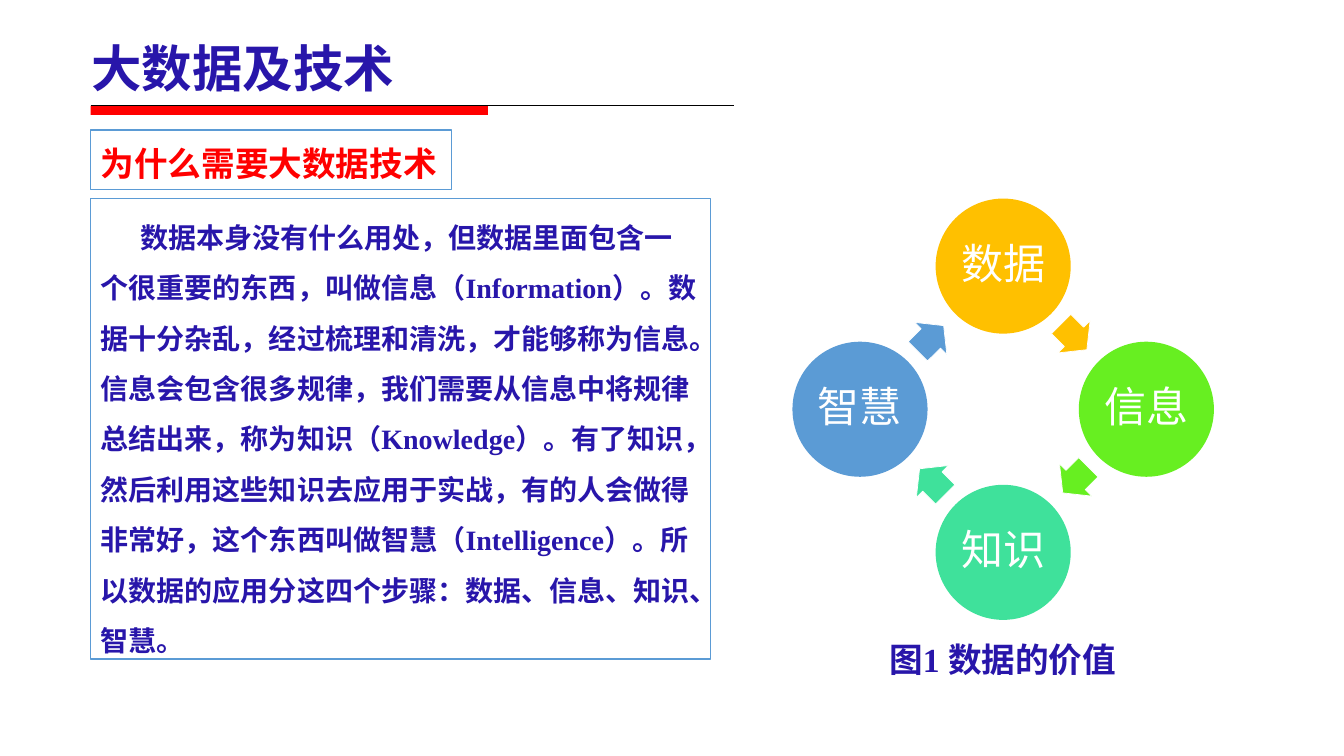
from dataclasses import dataclass
from math import cos, radians, sin

from lxml import etree
from pptx import Presentation
from pptx.dml.color import RGBColor
from pptx.enum.shapes import MSO_CONNECTOR, MSO_SHAPE
from pptx.enum.text import MSO_ANCHOR, PP_ALIGN
from pptx.oxml.ns import qn
from pptx.util import Inches, Pt

STRAIGHT = MSO_CONNECTOR.STRAIGHT
RECTANGLE, OVAL, ARROW = MSO_SHAPE.RECTANGLE, MSO_SHAPE.OVAL, MSO_SHAPE.RIGHT_ARROW
TOP, MIDDLE = MSO_ANCHOR.TOP, MSO_ANCHOR.MIDDLE
LEFT, CENTER = PP_ALIGN.LEFT, PP_ALIGN.CENTER


@dataclass(frozen=True)
class Theme:
    """Colours, fonts and type sizes of the deck."""
    navy: str = "2816AA"
    red: str = "FF0000"
    blue: str = "5B9BD5"
    white: str = "FFFFFF"
    black: str = "000000"
    amber: str = "FFC000"
    green: str = "67EF21"
    mint: str = "3FE19B"
    sans: str = "Noto Sans CJK SC"
    serif: str = "Times New Roman"
    title: int = 36
    heading: int = 24
    body: int = 20
    node: int = 30


THEME = Theme()
BODY = (
    "数据本身没有什么用处，但数据里面包含一个很重要的东西，叫做信息（Information）。"
    "数据十分杂乱，经过梳理和清洗，才能够称为信息。"
    "信息会包含很多规律，我们需要从信息中将规律总结出来，称为知识（Knowledge）。"
    "有了知识，然后利用这些知识去应用于实战，有的人会做得非常好，"
    "这个东西叫做智慧（Intelligence）。"
    "所以数据的应用分这四个步骤：数据、信息、知识、智慧。"
)
STEPS = [("数据", THEME.amber), ("信息", THEME.green),
         ("知识", THEME.mint), ("智慧", THEME.blue)]


def write_text(shape, *texts, size, color, font=THEME.serif, bold=True, align=LEFT,
               anchor=TOP, spacing=1.0, indent=0.0, inset=None):
    """Fill a shape with one formatted paragraph, one span per text."""
    frame = shape.text_frame
    frame.word_wrap = True
    frame.vertical_anchor = anchor
    if inset is not None:
        frame.margin_left = frame.margin_right = Inches(inset)
        frame.margin_top = frame.margin_bottom = Inches(inset)
    para = frame.paragraphs[0]
    para.alignment = align
    para.line_spacing = spacing
    if indent:
        properties = para._p.get_or_add_pPr()
        properties.set("marL", "0")
        properties.set("indent", str(Inches(indent)))
    for text in texts:
        span = para.add_run()
        span.text = text
        span.font.size = Pt(size)
        span.font.bold = bold
        span.font.name = font
        span.font.color.rgb = RGBColor.from_string(color)
        east_asian = etree.SubElement(span._r.get_or_add_rPr(), qn("a:ea"))
        east_asian.set("typeface", THEME.sans)


def add_box(page, left, top, width, height, border=None):
    """Add a text box, framed on white when a border colour is given."""
    box = page.shapes.add_textbox(Inches(left), Inches(top), Inches(width), Inches(height))
    if border:
        box.fill.solid()
        box.fill.fore_color.rgb = RGBColor.from_string(THEME.white)
        box.line.color.rgb = RGBColor.from_string(border)
        box.line.width = Pt(1)
    return box


def add_solid(page, kind, left, top, width, height, color):
    """Add a flat preset shape without outline or shadow."""
    shape = page.shapes.add_shape(kind, Inches(left), Inches(top),
                                  Inches(width), Inches(height))
    shape.shadow.inherit = False
    shape.fill.solid()
    shape.fill.fore_color.rgb = RGBColor.from_string(color)
    shape.line.fill.background()
    return shape


def add_rule(page, left, top, right, color):
    """Add a thin horizontal line."""
    rule = page.shapes.add_connector(STRAIGHT, Inches(left), Inches(top),
                                     Inches(right), Inches(top))
    rule.line.color.rgb = RGBColor.from_string(color)
    rule.line.width = Pt(0.75)
    etree.SubElement(rule._element.spPr, qn("a:effectLst"))


def add_cycle(page, steps, center_x, center_y, radius, diameter):
    """Add a clockwise ring of labelled circles with an arrow after each one."""
    turn = 360 / len(steps)
    arrow_width, arrow_height = 0.36, 0.45
    arrow_radius = radius * cos(radians(turn / 2))
    for index, (label, color) in enumerate(steps):
        angle = radians(index * turn - 90)
        circle = add_solid(page, OVAL, center_x + radius * cos(angle) - diameter / 2,
                           center_y + radius * sin(angle) - diameter / 2,
                           diameter, diameter, color)
        write_text(circle, label, size=THEME.node, color=THEME.white, font=THEME.sans,
                   bold=False, align=CENTER, anchor=MIDDLE, spacing=0.9, inset=0.04)
        angle += radians(turn / 2 - 0.6)
        arrow = add_solid(page, ARROW,
                          center_x + arrow_radius * cos(angle) - arrow_width / 2,
                          center_y + arrow_radius * sin(angle) - arrow_height / 2,
                          arrow_width, arrow_height, color)
        arrow.adjustments[0], arrow.adjustments[1] = 0.6, 0.5
        arrow.rotation = (index + 0.5) * turn
        arrow.line.color.rgb = RGBColor.from_string(THEME.white)
        arrow.line.width = Pt(0.5)


def main():
    """Build the slide and save the deck."""
    deck = Presentation()
    deck.slide_width, deck.slide_height = Inches(13.33), Inches(7.5)
    page = deck.slides.add_slide(deck.slide_layouts[6])

    write_text(add_box(page, 0.81, 0.32, 6.75, 0.64), "大数据及技术", size=THEME.title,
               color=THEME.navy, font=THEME.sans, anchor=MIDDLE, spacing=1.1)
    add_solid(page, RECTANGLE, 0.9, 1.05, 3.94, 0.09, THEME.red)
    add_rule(page, 0.9, 1.05, 7.28, THEME.black)

    write_text(add_box(page, 0.9, 1.29, 3.58, 0.59, THEME.blue), "为什么需要大数据技术",
               size=THEME.heading, color=THEME.red, spacing=1.2)
    write_text(add_box(page, 0.9, 1.97, 6.15, 4.57, THEME.blue), BODY,
               size=THEME.body, color=THEME.navy, spacing=1.5, indent=0.39)

    add_cycle(page, STEPS, 9.95, 4.06, 1.42, 1.34)
    write_text(add_box(page, 8.51, 6.29, 2.87, 0.5), "图", "1 ", "数据的价值",
               size=THEME.heading, color=THEME.navy, align=CENTER)
    deck.save("out.pptx")


if __name__ == "__main__":
    main()
